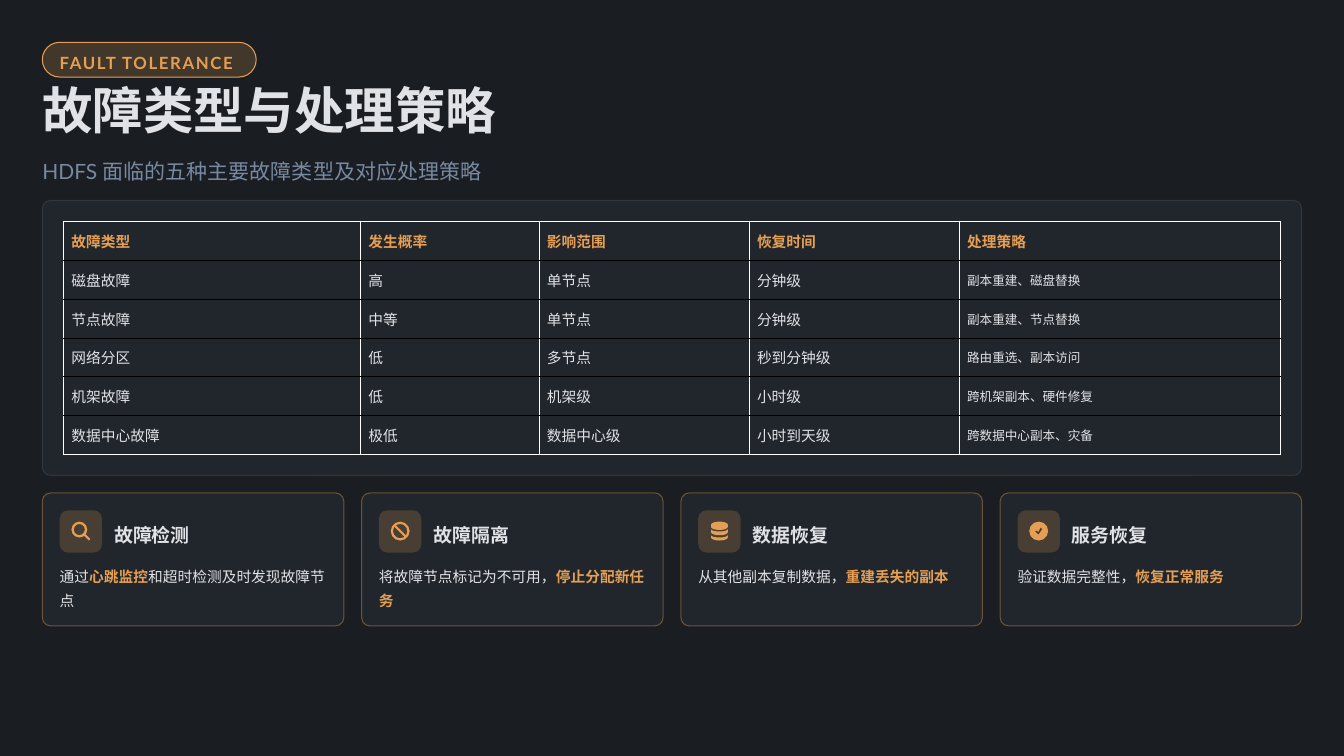
import math
from dataclasses import dataclass

import pptx
import pptx.dml.color
import pptx.enum.shapes
import pptx.enum.text
import pptx.oxml
import pptx.oxml.ns
import pptx.util

Inches = pptx.util.Inches
Shape = pptx.enum.shapes.MSO_SHAPE
qn = pptx.oxml.ns.qn


@dataclass(frozen=True)
class Theme:
    background: str = "1A1D21"
    accent: str = "E59F54"
    text: str = "E0E2E6"
    muted: str = "7889A3"
    panel: str = "3D4A5C"
    tile: str = "483D33"
    rule: str = "000000"
    latin: str = "Lato"
    chinese: str = "Noto Sans CJK SC"
    title: int = 48
    subtitle: int = 20
    heading: int = 18
    tag: int = 16
    body: int = 14
    small: int = 12
    corner: float = 0.11


THEME = Theme()

FAULTS = [
    ("故障类型", "发生概率", "影响范围", "恢复时间", "处理策略"),
    ("磁盘故障", "高", "单节点", "分钟级", "副本重建、磁盘替换"),
    ("节点故障", "中等", "单节点", "分钟级", "副本重建、节点替换"),
    ("网络分区", "低", "多节点", "秒到分钟级", "路由重选、副本访问"),
    ("机架故障", "低", "机架级", "小时级", "跨机架副本、硬件修复"),
    ("数据中心故障", "极低", "数据中心级", "小时到天级", "跨数据中心副本、灾备"),
]
COLUMN_WIDTHS = (3.93, 2.36, 2.78, 2.78, 4.25)


def rgb(color):
    return pptx.dml.color.RGBColor.from_string(color)


def paint(fill, color, opacity=100):
    fill.solid()
    fill.fore_color.rgb = rgb(color)
    if opacity < 100:
        swatch = fill._xPr.find(".//" + qn("a:srgbClr"))
        swatch.makeelement(qn("a:alpha"))
        alpha = pptx.oxml.parse_xml(f'<a:alpha {pptx.oxml.ns.nsdecls("a")} val="{opacity * 1000}"/>')
        swatch.append(alpha)


def finish(shape, color, opacity=100, line=None, line_opacity=100):
    shape.shadow.inherit = False
    paint(shape.fill, color, opacity)
    if line:
        paint(shape.line.fill, line, line_opacity)
        shape.line.width = pptx.util.Pt(1)
    else:
        shape.line.fill.background()


def add_preset(page, kind, left, top, width, height, color, *style):
    shape = page.shapes.add_shape(kind, Inches(left), Inches(top), Inches(width), Inches(height))
    finish(shape, color, *style)
    return shape


def add_rounded(page, left, top, width, height, radius, color, *style):
    shape = add_preset(page, Shape.ROUNDED_RECTANGLE, left, top, width, height, color, *style)
    shape.adjustments[0] = radius / min(width, height)
    return shape


def add_polygon(page, points, color):
    start, *rest = [(Inches(x), Inches(y)) for x, y in points]
    builder = page.shapes.build_freeform(*start)
    builder.add_line_segments(rest, close=True)
    finish(builder.convert_to_shape(), color)


def format_paragraph(para, size, color, bold=False, latin=THEME.latin, spacing=None, tracking=None):
    para.alignment = pptx.enum.text.PP_ALIGN.LEFT
    if spacing:
        para.line_spacing = spacing
    font = para.font
    font.size, font.bold, font.name = pptx.util.Pt(size), bold, latin
    font.color.rgb = rgb(color)
    defaults = para._p.pPr.find(qn("a:defRPr"))
    defaults.find(qn("a:latin")).addnext(
        pptx.oxml.parse_xml(f'<a:ea {pptx.oxml.ns.nsdecls("a")} typeface="{THEME.chinese}"/>'))
    if tracking:
        defaults.set("spc", str(int(tracking * 100)))


def fill_text(shape, left, top, width, height, spans, size, color, **style):
    """Place the shape and write (text, highlighted) spans into it."""
    shape.left, shape.top, shape.width, shape.height = map(Inches, (left, top, width, height))
    frame = shape.text_frame
    frame.auto_size = pptx.enum.text.MSO_AUTO_SIZE.NONE
    frame.word_wrap = True
    frame.vertical_anchor = pptx.enum.text.MSO_ANCHOR.MIDDLE
    frame.margin_left = frame.margin_right = frame.margin_top = frame.margin_bottom = 0
    para = frame.paragraphs[0]
    for text, highlighted in spans:
        run = para.add_run()
        run.text = text
        if highlighted:
            run.font.bold = True
            run.font.color.rgb = rgb(THEME.accent)
    format_paragraph(para, size, color, **style)


def add_text(page, left, top, width, height, spans, size, color, **style):
    box = page.shapes.add_textbox(0, 0, 0, 0)
    fill_text(box, left, top, width, height, spans, size, color, **style)


def add_header(page, left, top, width):
    add_rounded(page, left, top, 2.83, 0.46, 0.23, THEME.accent, 20, THEME.accent)
    add_text(page, left + 0.23, top + 0.09, 2.49, 0.29, [("FAULT TOLERANCE", False)],
             THEME.tag, THEME.accent, bold=True, spacing=1.3, tracking=1.6)
    fill_text(page.shapes.title, left, top + 0.63, width, 0.67, [("故障类型与处理策略", False)],
              THEME.title, THEME.text, bold=True, latin=THEME.chinese, spacing=0.8)
    add_text(page, left, top + 1.47, width, 0.39, [("HDFS 面临的五种主要故障类型及对应处理策略", False)],
             THEME.subtitle, THEME.muted, spacing=1.2)


def add_rule(cell, side):
    cell._tc.get_or_add_tcPr().append(pptx.oxml.parse_xml(
        f'<a:{side} {pptx.oxml.ns.nsdecls("a")} w="12700"><a:solidFill>'
        f'<a:srgbClr val="{THEME.rule}"/></a:solidFill></a:{side}>'))


def add_fault_table(page, left, top, width, height):
    add_rounded(page, left, top, width, height, THEME.corner, THEME.panel, 20, THEME.muted, 20)
    inset, row_height = 0.285, 0.512
    frame = page.shapes.add_table(len(FAULTS), len(COLUMN_WIDTHS), Inches(left + inset), Inches(top + inset),
                                  Inches(sum(COLUMN_WIDTHS)), Inches(row_height * len(FAULTS)))
    table = frame.table
    table.first_row = table.horz_banding = False
    for column, column_width in zip(table.columns, COLUMN_WIDTHS):
        column.width = Inches(column_width)
    for i, values in enumerate(FAULTS):
        for j, value in enumerate(values):
            cell = table.cell(i, j)
            cell.vertical_anchor = pptx.enum.text.MSO_ANCHOR.MIDDLE
            if i > 0:
                add_rule(cell, "lnT")
            if i < len(FAULTS) - 1:
                add_rule(cell, "lnB")
            cell.fill.background()
            cell.text = value
            header = i == 0
            size = THEME.small if j == len(values) - 1 and not header else THEME.body
            format_paragraph(cell.text_frame.paragraphs[0], size, THEME.accent if header else THEME.text,
                             bold=header, latin=THEME.chinese)


def draw_search(page, left, top):
    ring = add_preset(page, Shape.DONUT, left, top, 0.21, 0.21, THEME.accent)
    ring.adjustments[0] = 0.15
    handle = [(0.15, 0.17), (0.17, 0.15), (0.25, 0.23), (0.23, 0.25)]
    add_polygon(page, [(left + x, top + y) for x, y in handle], THEME.accent)


def draw_forbidden(page, left, top):
    sign = add_preset(page, Shape.NO_SYMBOL, left, top, 0.25, 0.25, THEME.accent)
    sign.adjustments[0] = 0.12


def draw_database(page, left, top):
    angles = [math.pi * i / 16 for i in range(17)]
    for upper, lower, bulge in ((0.04, 0.07, -0.04), (0.1, 0.14, 0.03), (0.18, 0.21, 0.03)):
        edge = [(left + 0.125 - 0.11 * math.cos(a), math.sin(a)) for a in angles]
        points = [(x, top + upper + bulge * s) for x, s in edge]
        points += [(x, top + lower + 0.04 * s) for x, s in reversed(edge)]
        add_polygon(page, points, THEME.accent)


def draw_check(page, left, top):
    add_preset(page, Shape.OVAL, left, top, 0.25, 0.25, THEME.accent)
    tick = [(0.08, 0.13), (0.1, 0.12), (0.12, 0.14), (0.15, 0.08), (0.17, 0.1), (0.12, 0.17)]
    add_polygon(page, [(left + x, top + y) for x, y in tick], THEME.tile)


CARDS = [
    ("故障检测", draw_search, 2, [("通过", False), ("心跳监控", True), ("和超时检测及时发现故障节点", False)]),
    ("故障隔离", draw_forbidden, 2, [("将故障节点标记为不可用，", False), ("停止分配新任务", True)]),
    ("数据恢复", draw_database, 1, [("从其他副本复制数据，", False), ("重建丢失的副本", True)]),
    ("服务恢复", draw_check, 1, [("验证数据完整性，", False), ("恢复正常服务", True)]),
]


def add_card(page, left, top, width, height, heading, draw_icon, lines, spans):
    add_rounded(page, left, top, width, height, THEME.corner, THEME.panel, 20, THEME.accent, 40)
    inner = left + 0.23
    add_rounded(page, inner, top + 0.23, 0.56, 0.56, THEME.corner, THEME.accent, 20)
    draw_icon(page, inner + 0.155, top + 0.38)
    add_text(page, inner + 0.72, top + 0.31, 1.12, 0.39, [(heading, False)],
             THEME.heading, THEME.text, bold=True, spacing=1.3)
    add_text(page, inner, top + 0.9, 3.62, 0.32 * lines, spans, THEME.body, THEME.text, spacing=1.4)


def add_card_row(page, left, top, width, height, gap=0.235):
    card_width = (width - gap * (len(CARDS) - 1)) / len(CARDS)
    for i, card in enumerate(CARDS):
        add_card(page, left + i * (card_width + gap), top, card_width, height, *card)


def main():
    deck = pptx.Presentation()
    deck.slide_width, deck.slide_height = Inches(17.78), Inches(10)
    page = deck.slides.add_slide(deck.slide_layouts[5])
    paint(page.background.fill, THEME.background)
    left, width = 0.56, 16.66
    add_header(page, left, 0.56, width)
    add_fault_table(page, left, 2.65, width, 3.64)
    add_card_row(page, left, 6.52, width, 1.76)
    deck.save("out.pptx")


if __name__ == "__main__":
    main()
